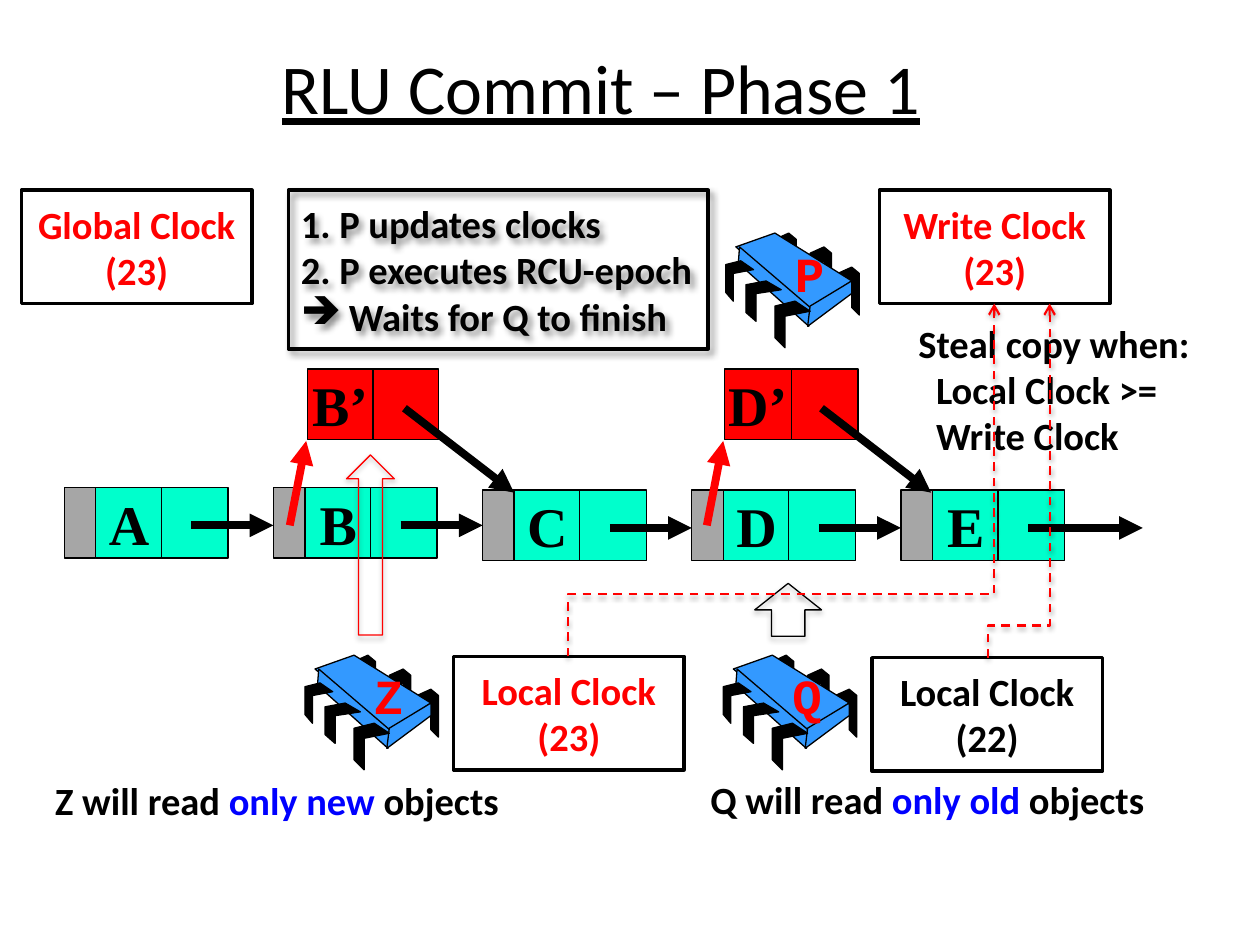
"""Build the slide on the first phase of an RLU commit."""
import pptx
import pptx.util
import pptx.dml.color
import pptx.enum.dml
import pptx.enum.shapes
import pptx.enum.text
import pptx.oxml
import pptx.oxml.ns
import lxml.etree

Color = pptx.dml.color.RGBColor
Kind = pptx.enum.shapes.MSO_SHAPE
Link = pptx.enum.shapes.MSO_CONNECTOR
Align = pptx.enum.text.PP_ALIGN
Anchor = pptx.enum.text.MSO_ANCHOR
Pt = pptx.util.Pt
qn = pptx.oxml.ns.qn

BLACK = Color(0x00, 0x00, 0x00)
WHITE = Color(0xFF, 0xFF, 0xFF)
RED = Color(0xFF, 0x00, 0x00)
BLUE = Color(0x00, 0x00, 0xFF)
MINT = Color(0x00, 0xFF, 0xCC)
GREY = Color(0xA6, 0xA6, 0xA6)
SKY = Color(0x33, 0x99, 0xFF)

deck = pptx.Presentation()
deck.slide_width = pptx.util.Inches(10)
deck.slide_height = pptx.util.Inches(7.5)
COL = deck.slide_width / 10
slide = deck.slides.add_slide(deck.slide_layouts[5])
shapes = slide.shapes


def write(shape, text, font="Calibri", size=22, color=BLACK, bold=True, under=False,
          align=Align.CENTER, anchor=Anchor.MIDDLE, wrap=True, accent=BLUE):
    """Fill a shape with lines of text; parts between bars take the accent colour."""
    frame = shape.text_frame
    frame.word_wrap = wrap
    frame.vertical_anchor = anchor
    for row, line in enumerate(text.split("\n")):
        para = frame.add_paragraph() if row else frame.paragraphs[0]
        para.alignment = align
        for turn, part in enumerate(line.split("|")):
            run = para.add_run()
            run.text = part
            run.font.name = font
            run.font.size = Pt(size)
            run.font.bold = bold
            run.font.underline = under
            run.font.color.rgb = accent if turn % 2 else color
    return frame


def box(x, y, w, h, fill=None, line=BLACK, width=0.75, kind=Kind.RECTANGLE):
    """Add a preset shape on the column grid."""
    shape = shapes.add_shape(kind, *[int(v * COL) for v in (x, y, w, h)])
    shape.shadow.inherit = False
    if fill is None:
        shape.fill.background()
    else:
        shape.fill.solid()
        shape.fill.fore_color.rgb = fill
    shape.line.color.rgb = line
    shape.line.width = Pt(width)
    return shape


title = shapes.title
title.left, title.top, title.width, title.height = [
    int(v * COL) for v in (0.27, 0.06, 9, 1.25)]
write(title, "RLU Commit – Phase 1", size=40, bold=False, under=True)

STEP, CELL, HIGH = 1.66, 0.53, 0.56
links = []
for spot, name in enumerate("ABCDE"):
    x = 0.51 + spot * STEP
    y = 3.87 if name in "AB" else 3.89
    write(box(x + 0.25, y, CELL, HIGH, MINT), name,
          font="Times New Roman", size=32, wrap=False)
    box(x + 0.77, y, CELL, HIGH, MINT)
    box(x, y, 0.25, HIGH, GREY)
    end = 9.07 if name == "E" else x + STEP
    links.append((x + 1.01, y + 0.3, end, y + 0.3, BLACK))

for name, x, w in (("B’", 2.44, 0.52), ("D’", 5.75, CELL)):
    write(box(x, 2.93, w, HIGH, RED), name, font="Times New Roman", size=32, wrap=False)
    box(x + w, 2.93, w, HIGH, RED)
    links.append((x + 0.77, 3.24, x + STEP - 0.02, 3.91, BLACK))
    links.append((x - 0.14, 4.17, x - 0.01, 3.5, RED))

LEG = [(89, 32), (100, 27), (106, 32), (106, 65), (100, 59), (100, 38), (89, 43)]
PARTS = [
    (BLACK, LEG),
    (BLACK, [(x - 22, y - 16) for x, y in LEG]),
    (BLACK, [(39, 5), (50, 0), (56, 5), (56, 32), (50, 28), (50, 9), (39, 14)]),
    (SKY, [(39, 0), (100, 38), (66, 60), (8, 11)]),
    (SKY, [(11, 11), (67, 59), (66, 74), (10, 24)]),
    (SKY, [(100, 38), (100, 48), (65, 74), (67, 58)]),
    (BLACK, [(55, 54), (67, 62), (47, 66), (47, 91), (39, 83), (39, 58)]),
    (BLACK, [(32, 38), (44, 45), (24, 48), (24, 70), (16, 63), (16, 41)]),
    (BLACK, [(12, 22), (22, 29), (6, 32), (6, 54), (0, 47), (0, 25)]),
]
for name, x, y in (("P", 5.76, 1.85), ("Q", 5.74, 5.2), ("Z", 2.42, 5.2)):
    for color, dots in PARTS:
        path = shapes.build_freeform(*dots[0], scale=COL / 100)
        path.add_line_segments(dots[1:], close=True)
        part = path.convert_to_shape(int(x * COL), int(y * COL))
        part.shadow.inherit = False
        part.fill.solid()
        part.fill.fore_color.rgb = color
        part.line.color.rgb = BLACK
        part.line.width = Pt(0)
    label = shapes.add_textbox(*[int(v * COL) for v in (x + 0.45, y + 0.03, 0.44, 0.57)])
    write(label, name, font="Courier New", size=28, color=RED,
          align=Align.LEFT, anchor=Anchor.TOP, wrap=False)

for text, x, y, color, fill in (
        ("Global Clock (23)", 0.17, 1.51, RED, WHITE),
        ("Write Clock\n(23)", 6.98, 1.51, RED, WHITE),
        ("Local Clock\n(23)", 3.6, 5.21, RED, None),
        ("Local Clock\n(22)", 6.92, 5.22, BLACK, None)):
    write(box(x, y, 1.83, 0.9, fill, width=2), text, color=color)

steps = box(2.29, 1.51, 3.33, 1.26, width=2)
frame = write(steps, "1. P updates clocks\n2. P executes RCU-epoch\nWaits for Q to finish",
              align=Align.LEFT)
props = frame.paragraphs[2]._p.get_or_add_pPr()
props.set("marL", str(int(0.38 * COL)))
props.set("indent", str(int(-0.38 * COL)))
lxml.etree.SubElement(props, qn("a:buChar")).set("char", "➔")

for text, x, y, w, h in (
        ("Steal copy when:\nLocal Clock >=\nWrite Clock", 7.19, 2.49, 2.58, 1.21),
        ("Z will read |only new |objects", 0.34, 6.12, 3.73, 0.47),
        ("Q will read |only old |objects", 5.54, 6.11, 3.73, 0.47)):
    note = shapes.add_textbox(*[int(v * COL) for v in (x, y, w, h)])
    frame = write(note, text, align=Align.LEFT, anchor=Anchor.TOP)
    for para in frame.paragraphs[1:]:
        para._p.get_or_add_pPr().set("marL", str(int(0.14 * COL)))

shades = [(steps, 4, 3, 45, 43)]
for x, y, w, h, color in ((5.99, 4.63, 0.53, 0.42, BLACK), (2.75, 3.61, 0.38, 1.43, RED)):
    arrow = box(x, y, w, h, line=color, kind=Kind.DOWN_ARROW)
    arrow.rotation = 180
    shades.append((arrow, 3.1, 1.8, 90, 35))

wires = []
for *ends, color in links:
    wire = shapes.add_connector(Link.STRAIGHT, *[int(v * COL) for v in ends])
    wires.append((wire, color, 4.5, "triangle"))

for x, y, far, top, bend in ((4.51, 5.21, 7.89, 2.41, 17600), (7.84, 5.22, 8.33, 2.41, 9100)):
    midx, midy = (x + far) / 2, (y + top) / 2
    dx, dy = (y - top) / 2, (far - x) / 2
    ends = (midx + dx, midy + dy, midx - dx, midy - dy)
    wire = shapes.add_connector(Link.ELBOW, *[int(v * COL) for v in ends])
    wire.element.spPr.find(qn("a:xfrm")).set("rot", "5400000")
    geom = wire.element.spPr.find(qn("a:prstGeom"))
    guide = lxml.etree.SubElement(geom.get_or_add_avLst(), qn("a:gd"))
    guide.set("name", "adj1")
    guide.set("fmla", f"val {bend}")
    wire.line.dash_style = pptx.enum.dml.MSO_LINE.DASH
    wires.append((wire, RED, 1.25, "arrow"))
    shades.append((wire, 3.1, 1.6, 90, 38))

for wire, color, width, head in wires:
    wire.line.color.rgb = color
    wire.line.width = Pt(width)
    props = wire.element.spPr
    lxml.etree.SubElement(props.find(qn("a:ln")), qn("a:tailEnd")).set("type", head)
    lxml.etree.SubElement(props, qn("a:effectLst"))

for shape, blur, dist, turn, alpha in shades:
    cast = lxml.etree.SubElement(shape.element.spPr.find(qn("a:effectLst")), qn("a:outerShdw"))
    for key, value in (("blurRad", Pt(blur)), ("dist", Pt(dist)),
                       ("dir", turn * 60000), ("rotWithShape", 0)):
        cast.set(key, str(int(value)))
    tint = lxml.etree.SubElement(cast, qn("a:srgbClr"))
    tint.set("val", str(BLACK))
    lxml.etree.SubElement(tint, qn("a:alpha")).set("val", str(alpha * 1000))

deck.save("out.pptx")
